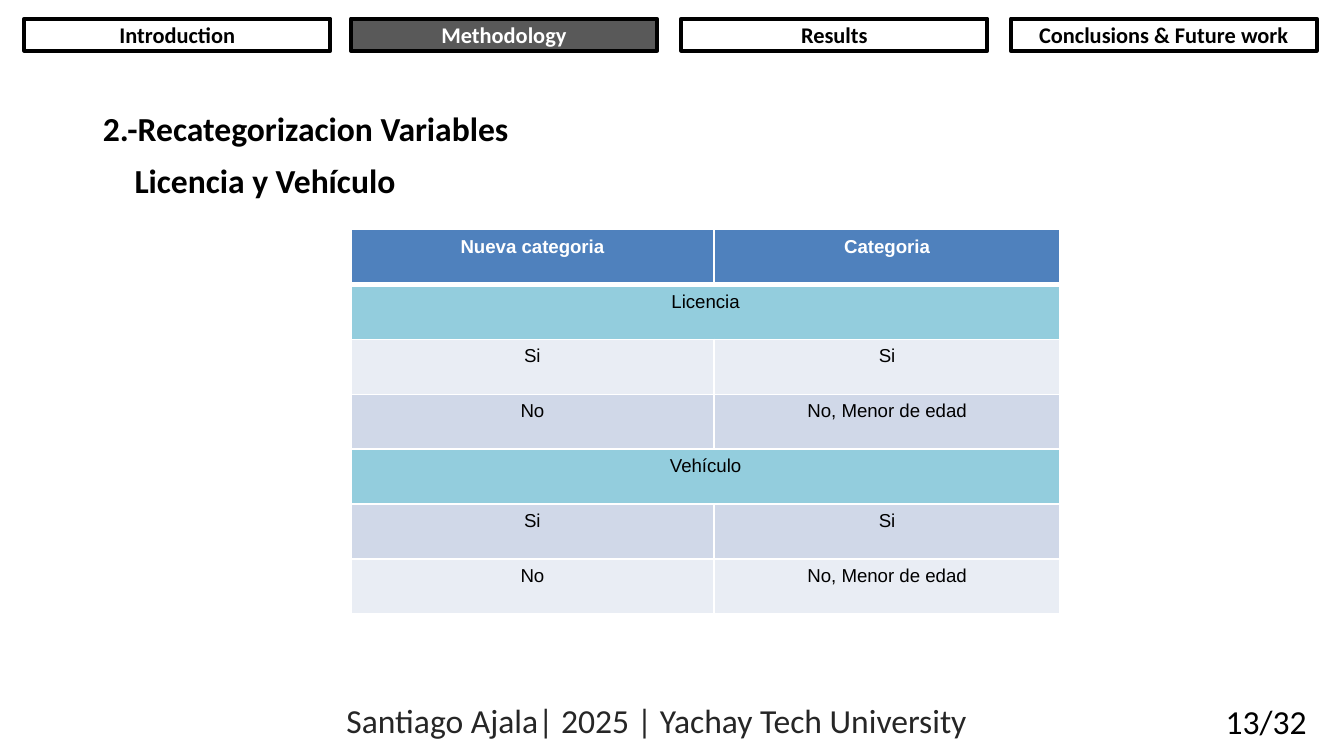
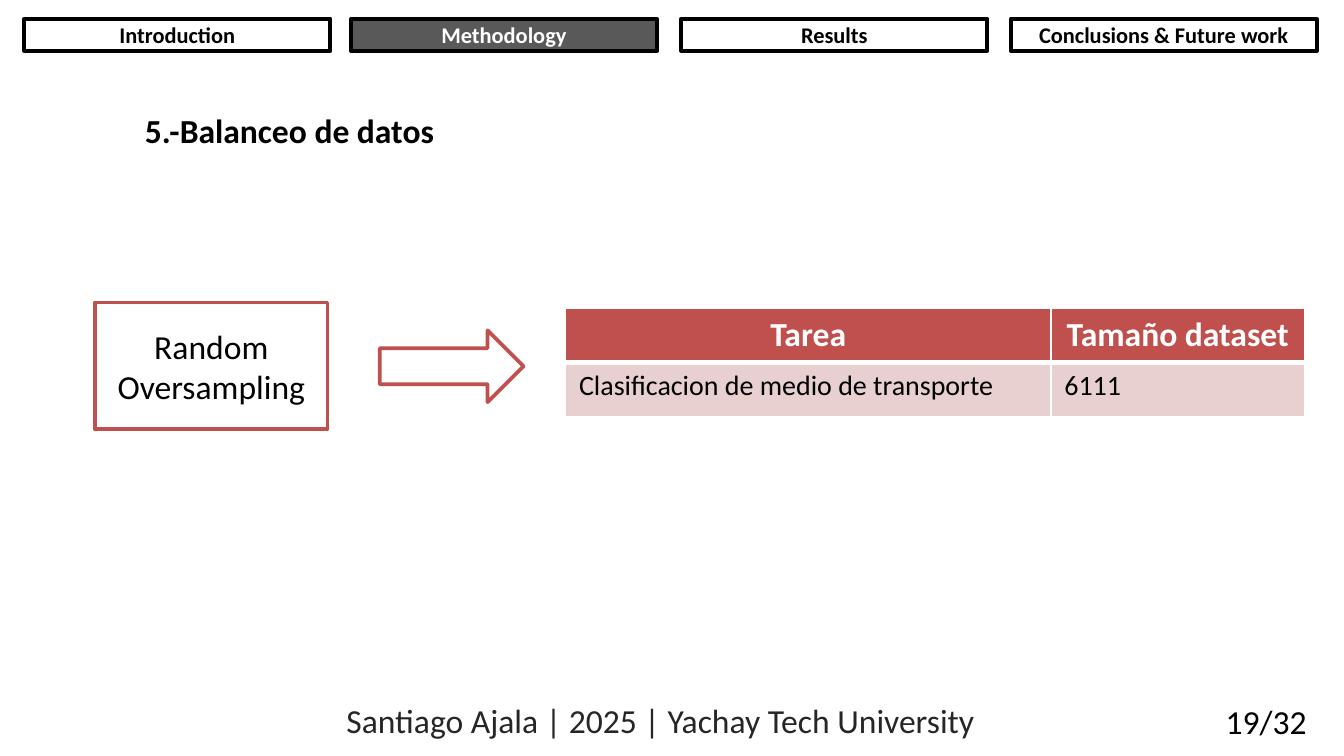
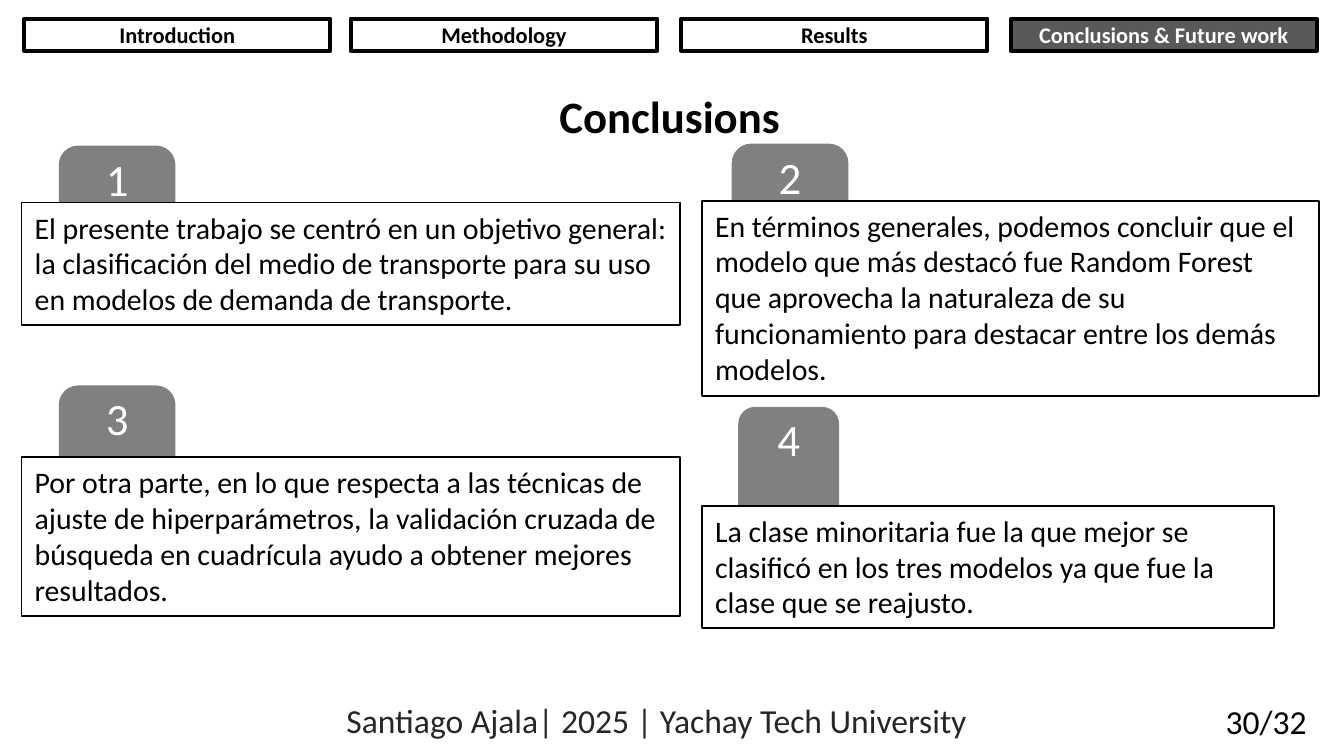
from lxml import etree
from pptx import Presentation
from pptx import util as u
from pptx.dml.color import RGBColor
from pptx.enum import shapes, text
from pptx.oxml.ns import qn

Pt = u.Pt
AL = text.PP_ALIGN
SHAPE = shapes.MSO_SHAPE
COLORS = {
    "black": "000000", "white": "FFFFFF", "active": "595959", "footer": "262626",
    "tab": "808080", "blue": "4F81BD", "aqua": "93CDDD", "pale": "E9EDF4",
    "band": "D0D8E8", "red": "C0504D", "pink": "E8D0D0",
}
SECTIONS = {"Introduction": 0, "Methodology": 175, "Results": 352,
            "Conclusions & Future work": 528.5}
NAV_BOX = (13, 10, 692.5, 17.3)
FOOTER_BOX = (178.5, 371.5, 533.5, 29)


def rgb(name):
    return RGBColor.from_string(COLORS[name])


def write(tf, words, size=18, color="black", bold=False, align=AL.LEFT, font="Calibri"):
    p = tf.paragraphs[0]
    p.alignment = align
    r = p.add_run()
    r.text = words
    r.font.name, r.font.size, r.font.bold = font, Pt(size), bold
    r.font.color.rgb = rgb(color)


def add_text(s, box, words, **fmt):
    tf = s.shapes.add_textbox(*map(Pt, box)).text_frame
    tf.word_wrap = True
    tf.auto_size = text.MSO_AUTO_SIZE.SHAPE_TO_FIT_TEXT
    write(tf, words, **fmt)


def add_box(s, box, kind=SHAPE.RECTANGLE, fill="white", line=None, width=2,
            words=None, anchor=text.MSO_ANCHOR.MIDDLE, **fmt):
    sp = s.shapes.add_shape(kind, *map(Pt, box))
    sp.shadow.inherit = False
    sp.fill.solid()
    sp.fill.fore_color.rgb = rgb(fill)
    if line:
        sp.line.color.rgb = rgb(line)
        sp.line.width = Pt(width)
    else:
        sp.line.fill.background()
    if words:
        sp.text_frame.word_wrap = True
        sp.text_frame.vertical_anchor = anchor
        write(sp.text_frame, words, **fmt)
    return sp


# Tables
def set_border(cell, side, width):
    ln = etree.SubElement(cell._tc.get_or_add_tcPr(), qn("a:ln" + side), w=str(Pt(width)))
    fill = etree.SubElement(ln, qn("a:solidFill"))
    etree.SubElement(fill, qn("a:srgbClr"), val=COLORS["white"])


def add_table(s, box, col_widths, rows, header, body):
    """Each row is (fill, texts); a row with a single text spans the table."""
    tbl = s.shapes.add_table(len(rows), len(col_widths), *map(Pt, box)).table
    tbl.horz_banding = False
    for col, width in zip(tbl.columns, col_widths):
        col.width = Pt(width)
    for i, (fill, texts) in enumerate(rows):
        tbl.rows[i].height = Pt(box[3] / len(rows))
        for cell in tbl.rows[i].cells:
            set_border(cell, "L", 1)
            set_border(cell, "R", 1)
            if i == 0:
                set_border(cell, "T", 1)
            set_border(cell, "B", 1 if i else 3)
            cell.fill.solid()
            cell.fill.fore_color.rgb = rgb(fill)
        if len(texts) == 1:
            tbl.cell(i, 0).merge(tbl.cell(i, len(col_widths) - 1))
        for j, words in enumerate(texts):
            write(tbl.cell(i, j).text_frame, words, **(body if i else header))


# Shared frame: section bar and footer
def nav_bar(s, box, active):
    x, y, w, h = box
    for name, dx in SECTIONS.items():
        on = name == active
        add_box(s, (x + dx, y, 164, h), fill="active" if on else "white", line="black",
                words=name, size=12, bold=True, align=AL.CENTER,
                color="white" if on else "black")


def footer(s, box, credit, page):
    x, y, w, h = box
    add_text(s, (x, y, 374.5, h), credit, color="footer")
    add_text(s, (x + w - 62.5, y + 0.7, 62.5, h), page)


def new_slide(prs, active, page, credit="Santiago Ajala| 2025 | Yachay Tech University"):
    s = prs.slides.add_slide(prs.slide_layouts[6])
    nav_bar(s, NAV_BOX, active)
    footer(s, FOOTER_BOX, credit, page)
    return s


# Slide bodies
def recategorization(s, box):
    x, y, w, h = box
    heading = dict(bold=True, align=AL.JUSTIFY)
    add_text(s, (x, y, 623.5, 29), "2.-Recategorizacion Variables", **heading)
    add_text(s, (x + 17, y + 28, 623.5, 29), "Licencia y Vehículo", **heading)
    yes, no = ("Si", "Si"), ("No", "No, Menor de edad")
    rows = [("blue", ("Nueva categoria", "Categoria")),
            ("aqua", ("Licencia",)), ("pale", yes), ("band", no),
            ("aqua", ("Vehículo",)), ("band", yes), ("pale", no)]
    body = dict(size=10, font="Arial", align=AL.CENTER)
    add_table(s, (x + 140, y + 69, 380, 206), (194.4, 185.6), rows,
              dict(body, color="white", bold=True), body)


def balancing(s, box):
    x, y, w, h = box
    add_text(s, (x + 19.5, y, 436, 29), "5.-Balanceo de datos", bold=True, align=AL.JUSTIFY)
    rows = [("red", ("Tarea", "Tamaño dataset")),
            ("pink", ("Clasificacion de medio de transporte", "6111"))]
    add_table(s, (x + 252, y + 109.5, 396, 58.4), (260, 136), rows,
              dict(color="white", bold=True, align=AL.CENTER), dict(size=15))
    add_box(s, (x, y + 106.5, 124.5, 68), line="red", words="Random Oversampling",
            align=AL.CENTER)
    add_box(s, (x + 152.5, y + 121.5, 77, 38.5), kind=SHAPE.RIGHT_ARROW, line="red")


def conclusion_card(s, box, number, words, tab):
    """tab is the number tab's (inset, rise above the card, width, height)."""
    x, y, w, h = box
    inset, rise, tab_w, tab_h = tab
    sp = add_box(s, (x + inset, y - rise, tab_w, tab_h), kind=SHAPE.ROUNDED_RECTANGLE,
                 fill="tab", words=str(number), size=24, color="white",
                 align=AL.CENTER, anchor=text.MSO_ANCHOR.TOP)
    sp.text_frame.margin_top = 0
    add_box(s, box, line="black", width=1, words=words, size=16,
            anchor=text.MSO_ANCHOR.TOP)


def conclusions(s, box):
    x, y, w, h = box
    add_text(s, (x + 1, y, 692.5, 36), "Conclusions", size=24, bold=True, align=AL.CENTER)
    right = x + 364.5
    cards = [
        ((x, y + 64.5, 353, 65.5), (20, 30.5, 62.5, 66),
         "El presente trabajo se centró en un objetivo general: la clasificación del medio "
         "de transporte para su uso en modelos de demanda de transporte."),
        ((right, y + 63.5, 330.5, 104.5), (16, 30.5, 62.5, 66),
         "En términos generales, podemos concluir que el modelo que más destacó fue Random "
         "Forest que aprovecha la naturaleza de su funcionamiento para destacar entre los "
         "demás modelos."),
        ((x, y + 201, 353, 85), (20, 38.5, 62.5, 62),
         "Por otra parte, en lo que respecta a las técnicas de ajuste de hiperparámetros, la "
         "validación cruzada de búsqueda en cuadrícula ayudo a obtener mejores resultados."),
        ((right, y + 227, 306.5, 65.5), (19.5, 53, 54, 66),
         "La clase minoritaria fue la que mejor se clasificó en los tres modelos ya que fue "
         "la clase que se reajusto."),
    ]
    for number, (card, tab, words) in enumerate(cards, 1):
        conclusion_card(s, card, number, words, tab)


def main():
    prs = Presentation()
    prs.slide_width, prs.slide_height = Pt(720), Pt(405)
    recategorization(new_slide(prs, "Methodology", "13/32"), (48, 54, 640, 276))
    balancing(new_slide(prs, "Methodology", "19/32",
                        "Santiago Ajala | 2025 | Yachay Tech University"),
              (51, 55.5, 648, 175))
    conclusions(new_slide(prs, "Conclusions & Future work", "30/32"),
                (11.5, 44, 695, 293))
    prs.save("out.pptx")


if __name__ == "__main__":
    main()
